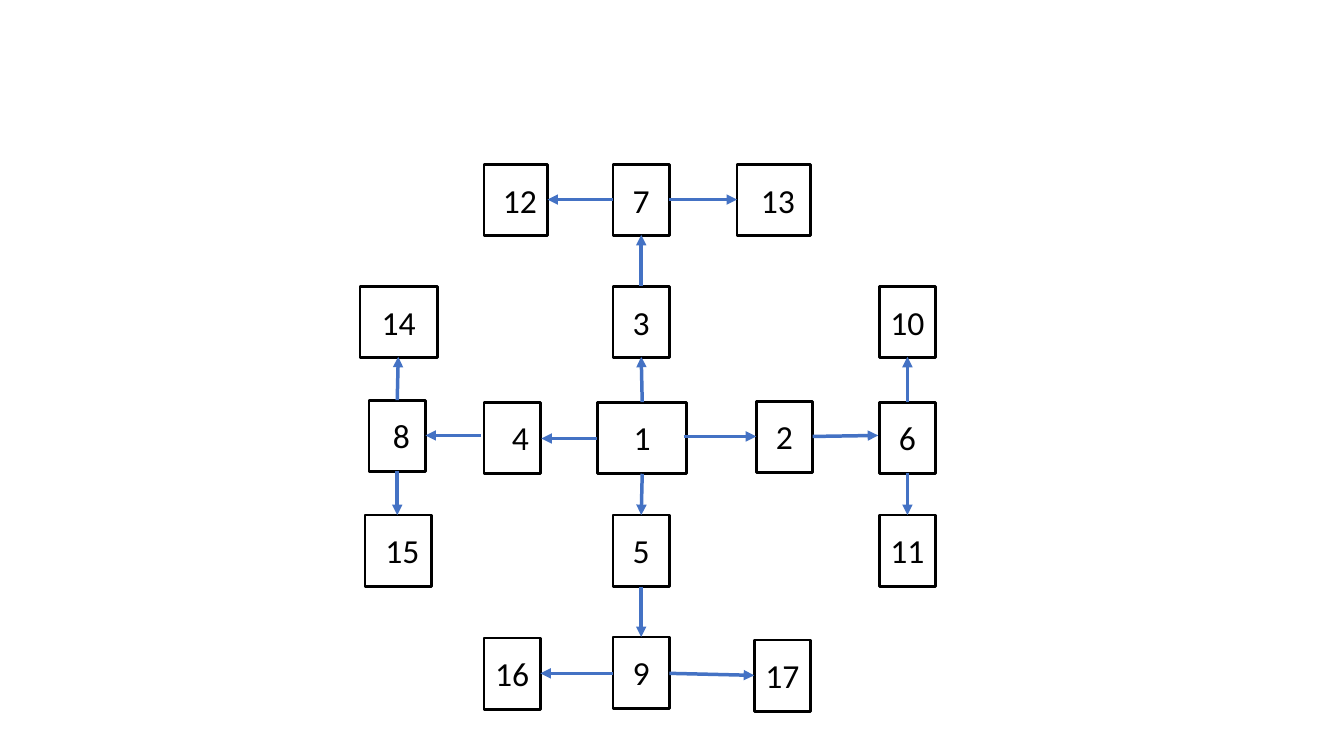
from lxml.etree import SubElement
from pptx import Presentation
from pptx.dml.color import RGBColor
from pptx.enum.shapes import MSO_CONNECTOR, MSO_SHAPE
from pptx.enum.text import MSO_ANCHOR, MSO_AUTO_SIZE, PP_ALIGN
from pptx.oxml.ns import qn
from pptx.util import Pt

EMU_PER_PX = 9144
BOX_HEIGHT = 71
BOX_WIDTH = 56

# label, left, top, width, indent
BOXES = [
    ("1", 593, 399, 88, 0),
    ("2", 750, 398, BOX_WIDTH, 0),
    ("3", 608, 284, BOX_WIDTH, 0),
    ("4", 480, 399, BOX_WIDTH, 16),
    ("5", 608, 511, BOX_WIDTH, 0),
    ("6", 872, 399, BOX_WIDTH, 0),
    ("7", 608, 163, BOX_WIDTH, 0),
    ("8", 366, 397, BOX_WIDTH, 8),
    ("9", 608, 632, BOX_WIDTH, 0),
    ("10", 872, 284, BOX_WIDTH, 0),
    ("11", 872, 511, BOX_WIDTH, 0),
    ("12", 480, 163, 63, 8),
    ("13", 731, 163, 73, 8),
    ("14", 357, 284, 77, 0),
    ("15", 362, 511, 66, 8),
    ("16", 480, 633, BOX_WIDTH, 0),
    ("17", 748, 635, BOX_WIDTH, 0),
]

# start x, start y, end x, end y
ARROWS = [
    (678, 433, 750, 433),
    (637, 399, 636, 354),
    (592, 435, 537, 435),
    (637, 470, 636, 511),
    (806, 433, 871, 432),
    (636, 284, 636, 233),
    (477, 432, 422, 432),
    (636, 582, 636, 632),
    (900, 399, 900, 354),
    (900, 469, 900, 511),
    (608, 198, 543, 198),
    (664, 198, 731, 198),
    (394, 397, 395, 354),
    (394, 467, 394, 511),
    (608, 668, 536, 668),
    (664, 668, 748, 670),
]


def px(length):
    """Turn whole pixels into EMU."""
    return length * EMU_PER_PX


def color(hex_string):
    """Turn a hex string into a colour."""
    return RGBColor.from_string(hex_string)


class NumberTree:
    """Draw numbered boxes and arrows in one style on one slide."""

    font_name = "Calibri"
    font_size = Pt(24)
    ink = "000000"
    arrow_color = "4472C4"

    def __init__(self, slide):
        """Keep the current slide."""
        self.slide = slide

    def box(self, label, left, top, width, indent):
        """Add an outlined box with a centred number."""
        shape = self.slide.shapes.add_shape(
            MSO_SHAPE.RECTANGLE, px(left), px(top), px(width), px(BOX_HEIGHT)
        )
        shape.shadow.inherit = False
        shape.fill.background()
        shape.line.color.rgb = color(self.ink)
        shape.line.width = Pt(2)
        text_frame = shape.text_frame
        text_frame.text = label
        text_frame.word_wrap = True
        text_frame.auto_size = MSO_AUTO_SIZE.SHAPE_TO_FIT_TEXT
        text_frame.vertical_anchor = MSO_ANCHOR.TOP
        text_frame.margin_left = px(10 + indent)
        text_frame.margin_right = px(10)
        text_frame.margin_top = text_frame.margin_bottom = px(15)
        paragraph = text_frame.paragraphs[0]
        paragraph.alignment = PP_ALIGN.CENTER
        font = paragraph.runs[0].font
        font.name = self.font_name
        font.size = self.font_size
        font.color.rgb = color(self.ink)

    def arrow(self, start_x, start_y, end_x, end_y):
        """Add a straight line with a triangle at its end."""
        connector = self.slide.shapes.add_connector(
            MSO_CONNECTOR.STRAIGHT, px(start_x), px(start_y), px(end_x), px(end_y)
        )
        connector.line.color.rgb = color(self.arrow_color)
        connector.line.width = Pt(2.5)
        properties = connector._element.spPr
        outline = properties.find(qn("a:ln"))
        SubElement(outline, qn("a:tailEnd"), type="triangle")
        SubElement(properties, qn("a:effectLst"))


def main():
    """Build and save the slide."""
    presentation = Presentation()
    presentation.slide_width = px(1333)
    presentation.slide_height = px(750)
    tree = NumberTree(presentation.slides.add_slide(presentation.slide_layouts[6]))
    for box in BOXES:
        tree.box(*box)
    for arrow in ARROWS:
        tree.arrow(*arrow)
    presentation.save("out.pptx")


if __name__ == "__main__":
    main()
